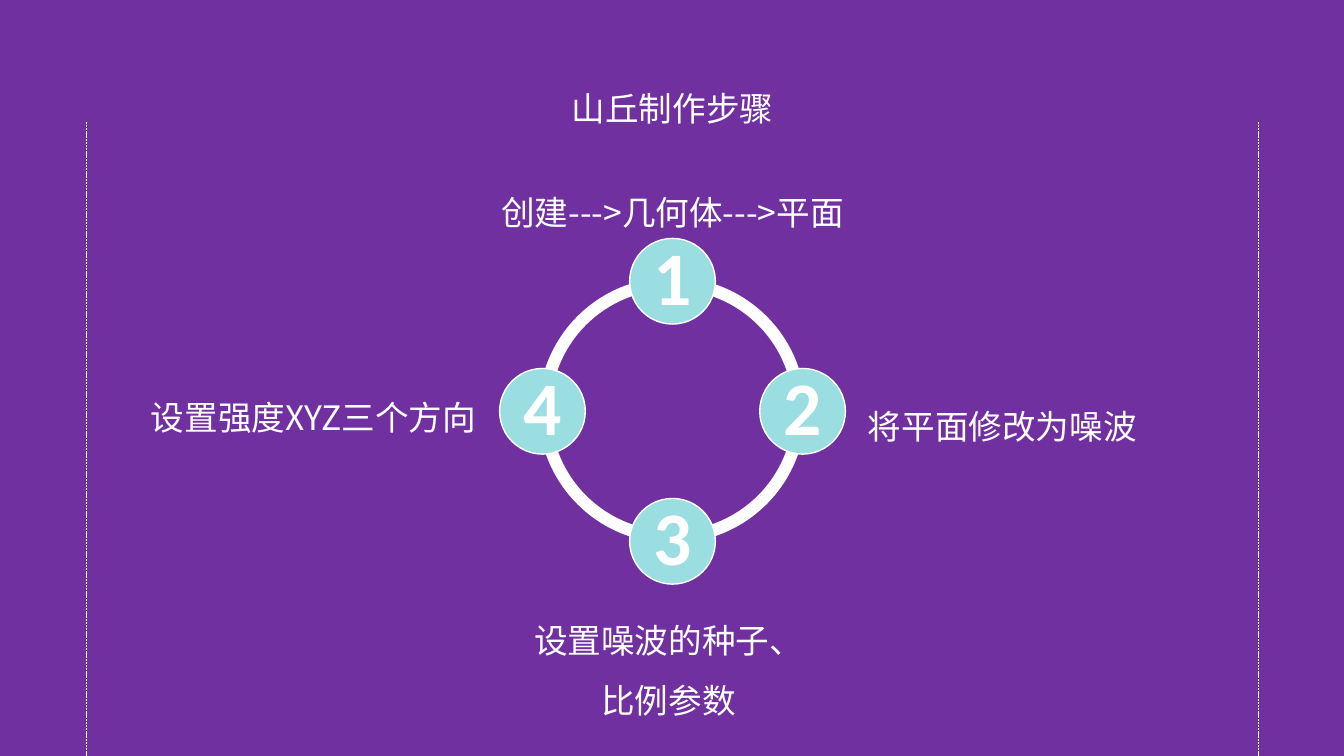
from lxml import etree
from pptx import Presentation
from pptx.dml.color import RGBColor
from pptx.enum.dml import MSO_LINE
from pptx.enum.shapes import MSO_CONNECTOR, MSO_SHAPE
from pptx.enum.text import MSO_ANCHOR, MSO_AUTO_SIZE, PP_ALIGN
from pptx.oxml.ns import qn
from pptx.util import Inches, Pt

PURPLE = RGBColor(0x70, 0x30, 0xA0)
AQUA = RGBColor(0x9A, 0xDE, 0xE2)
WHITE = RGBColor(0xFF, 0xFF, 0xFF)
CENTER, RIGHT, JUSTIFY = PP_ALIGN.CENTER, PP_ALIGN.RIGHT, PP_ALIGN.JUSTIFY
MIDDLE = MSO_ANCHOR.MIDDLE
FIT_SHAPE = MSO_AUTO_SIZE.SHAPE_TO_FIT_TEXT
STRAIGHT = MSO_CONNECTOR.STRAIGHT
BLOCK_ARC, OVAL = MSO_SHAPE.BLOCK_ARC, MSO_SHAPE.OVAL
DASH = MSO_LINE.SQUARE_DOT
CJK_FONT, XYZ_FONT, DIGIT_FONT = "Noto Sans CJK SC", "Noto Sans CJK JP", "Calibri"


class CycleSlide:
    def __init__(self, presentation):
        self.slide = presentation.slides.add_slide(presentation.slide_layouts[6])
        self.shapes = self.slide.shapes
        background = self.slide.background.fill
        background.solid()
        background.fore_color.rgb = PURPLE

    def style(self, paragraph, font_name, size, align, spacing, bold=False):
        paragraph.alignment = align
        paragraph.line_spacing = spacing
        font = paragraph.font
        font.name, font.size, font.bold = font_name, Pt(size), bold
        font.color.rgb = WHITE

    def label(self, text, left, top, width, height=0.7, align=CENTER, latin=CJK_FONT):
        box = self.shapes.add_textbox(Inches(left), Inches(top), Inches(width), Inches(height))
        frame = box.text_frame
        frame.word_wrap = True
        frame.auto_size = FIT_SHAPE
        paragraph = frame.paragraphs[0]
        run = paragraph.add_run()
        run.text = text
        self.style(paragraph, latin, 24, align, 1.5)
        east_asian = etree.SubElement(run.font._element, qn("a:ea"))
        east_asian.set("typeface", CJK_FONT)

    def side_line(self, x, top, bottom):
        rule = self.shapes.add_connector(STRAIGHT, Inches(x), Inches(top), Inches(x), Inches(bottom))
        rule.line.color.rgb = WHITE
        rule.line.width = Pt(0.5)
        rule.line.dash_style = DASH
        etree.SubElement(rule._element.spPr, qn("a:effectLst"))

    def shape(self, kind, left, top, width, height, color):
        item = self.shapes.add_shape(kind, Inches(left), Inches(top), Inches(width), Inches(height))
        item.shadow.inherit = False
        item.fill.solid()
        item.fill.fore_color.rgb = color
        return item

    def quarter_arc(self, start, left, top, width, height):
        arc = self.shape(BLOCK_ARC, left, top, width, height, WHITE)
        arc.line.fill.background()
        angles = (start, (start + 90) % 360)
        for index, degrees in enumerate(angles):
            arc.adjustments[index] = degrees * 0.6
        arc.adjustments[2] = 0.046

    def step(self, number, center_x, center_y, size=0.85):
        disc = self.shape(OVAL, center_x - size / 2, center_y - size / 2, size, size, AQUA)
        disc.line.color.rgb = WHITE
        disc.line.width = Pt(1)
        frame = disc.text_frame
        frame.vertical_anchor = MIDDLE
        frame.margin_left = frame.margin_right = Inches(0.06)
        frame.margin_top = frame.margin_bottom = Inches(0.06)
        paragraph = frame.paragraphs[0]
        paragraph.text = str(number)
        self.style(paragraph, DIGIT_FONT, 54, CENTER, 0.9, bold=True)


def main():
    presentation = Presentation()
    presentation.slide_width, presentation.slide_height = Inches(13.33), Inches(7.5)
    cycle = CycleSlide(presentation)

    cycle.label("山丘制作步骤", 4.56, 0.62, 4.22)
    for x in (0.86, 12.48):
        cycle.side_line(x, 1.21, 7.5)
    for start in (180, 90, 0, 270):
        cycle.quarter_arc(start, 5.34, 2.75, 2.65, 2.64)

    middle_x, middle_y, radius = 6.67, 4.08, 1.29
    directions = {4: (-1, 0), 1: (0, -1), 2: (1, 0), 3: (0, 1)}
    for number, (dx, dy) in directions.items():
        cycle.step(number, middle_x + dx * radius, middle_y + dy * radius)

    cycle.label("将平面修改为噪波", 8.51, 3.78, 3.06, align=JUSTIFY)
    cycle.label("设置强度XYZ三个方向", 1.07, 3.69, 3.75, align=RIGHT, latin=XYZ_FONT)
    cycle.label("创建--->几何体--->平面", 4.64, 1.65, 4.06)
    cycle.label("设置噪波的种子、比例参数", 5.1, 5.9, 3.06, height=1.3)
    presentation.save("out.pptx")


if __name__ == "__main__":
    main()
